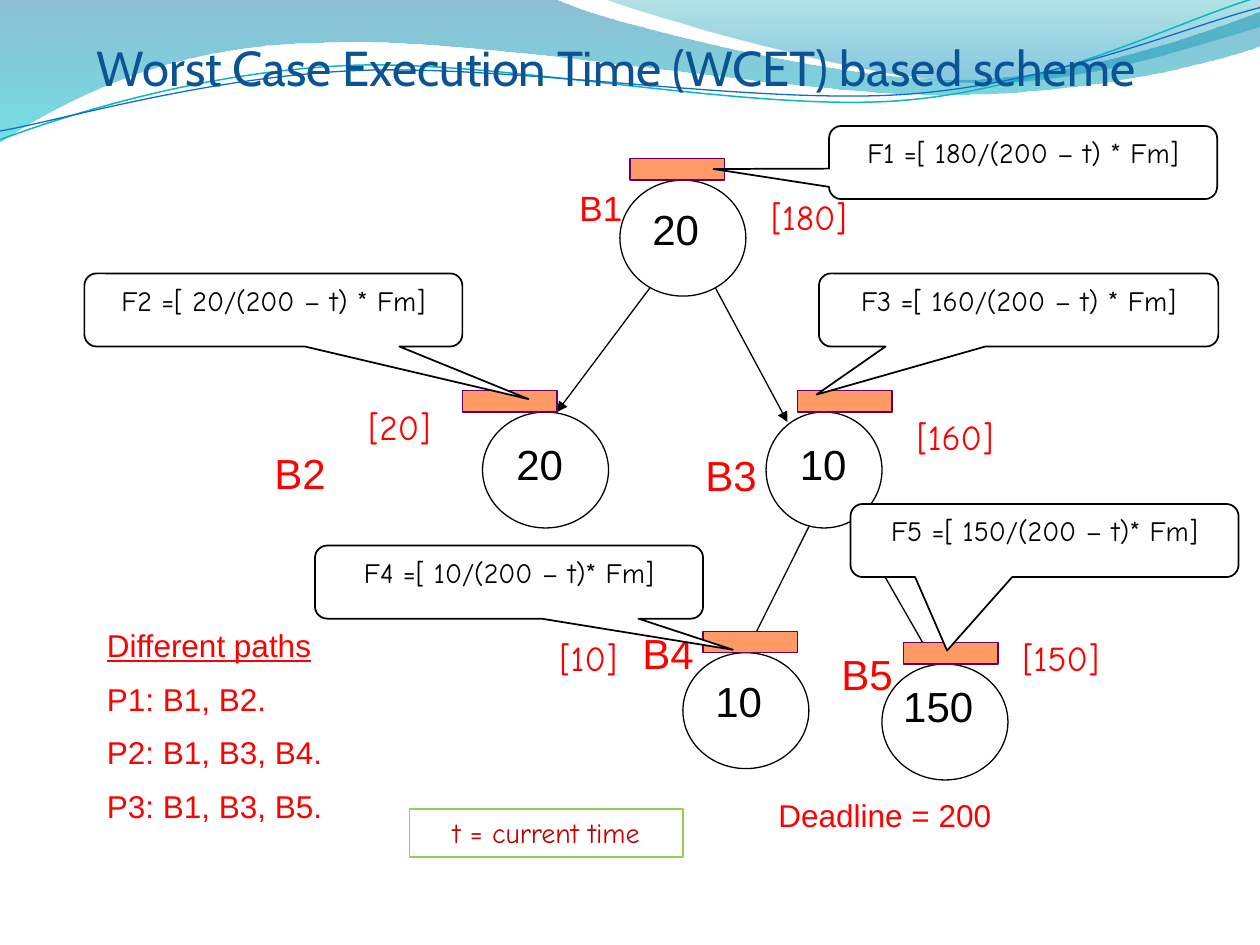
import math
from lxml import etree
from pptx import Presentation
from pptx import util as u
from pptx.dml import color
from pptx.enum import shapes, text
from pptx.oxml import ns

Inches = u.Inches
COLORS = {
    "title": "0B5394", "red": "FF0000", "black": "000000", "white": "FFFFFF",
    "bar": "FF9966", "bar_line": "660066", "note": "C00000", "note_line": "92D050",
    "teal_line": "0AB8BF", "blue_line": "0F6FC6",
}
WAVES = [
    {"box": (-0.01, -0.01, 10.02, 1.14), "stops": [(0, "0074A1", 45), (1, "00C6CF", 55)],
     "parts": [(0, -0.01), (4.4, -0.01), (4.76, 0.17, 6.64, 0.63, 7.58, 0.63),
               (8.53, 0.63, 9.58, 0.26, 10, 0.09), (10.01, 0.36),
               (9.83, 0.44, 8.7, 0.76, 7.46, 0.75), (6.22, 0.75, 3.82, 0.28, 2.57, 0.34),
               (1.29, 0.35, 0.46, 0.83, -0.01, 1.13)]},
    {"box": (4.79, -0.01, 5.21, 0.7), "stops": [(0, "00A1A9", 30), (0.8, "008BBF", 45)],
     "parts": [(4.79, -0.01), (5.09, 0.11, 6.82, 0.62, 7.69, 0.65),
               (8.56, 0.69, 9.61, 0.32, 10, 0.21), (10, 0)]},
    {"box": (-0.02, 0.22, 10.02, 0.71), "line": ("teal_line", 0.85),
     "parts": [(0, 1.11), (0.48, 0.93, 1.58, 0.57, 2.77, 0.52),
               (3.95, 0.47, 5.93, 0.89, 7.13, 0.8), (8.33, 0.71, 9.38, 0.15, 9.98, -0.02)]},
    {"box": (-0.02, 0.3, 10.03, 0.58), "line": ("blue_line", 0.75),
     "parts": [(0, 1.04), (0.47, 0.96, 1.64, 0.61, 2.83, 0.56),
               (4.03, 0.51, 5.97, 0.83, 7.17, 0.75), (8.36, 0.67, 9.41, 0.21, 10, 0.06)]},
]
TILT = 2.7
EDGES = [
    ((5.17, 2.27), (4.42, 3.27)), ((5.67, 2.27), (6.25, 3.35)),
    ((6.42, 4.18), (5.92, 5.18)), ((6.75, 4.1), (7.42, 5.27)),
]
NODES = [
    {"box": (4.92, 1.43, 1, 0.92), "bar": 0.08, "value": ("20", 0.16, 0.14),
     "name": ("B1", -0.42, 0, 0.58, 20), "left": ("[180]", 1, 0.07)},
    {"box": (3.83, 3.27, 1, 0.92), "bar": -0.16, "value": ("20", 0.17, 0.16),
     "name": ("B2", -1.75, 0.23, 0.75, 24), "left": ("[20]", -1.16, -0.1)},
    {"box": (6.08, 3.27, 0.92, 0.92), "bar": 0.25, "value": ("10", 0.17, 0.16),
     "name": ("B3", -0.58, 0.25, 1.08, 24), "left": ("[160]", 1, -0.02)},
    {"box": (5.42, 5.18, 1, 0.92), "bar": 0.16, "value": ("10", 0.16, 0.13),
     "name": ("B4", -0.42, -0.25, 1.17, 24), "left": ("[10]", -1.25, -0.18)},
    {"box": (7, 5.27, 1, 0.92), "bar": 0.17, "value": ("150", 0.07, 0.08),
     "name": ("B5", -0.42, -0.17, 1, 24), "left": ("[150]", 0.92, -0.27)},
]
CALLOUTS = [
    ((6.58, 1, 3.08, 0.58), "F1 =[ 180/(200 – t) * Fm]", (-0.798, 0.089)),
    ((6.5, 2.17, 3.17, 0.58), "F3 =[ 160/(200 – t) * Fm]", (-0.506, 1.158)),
    ((0.67, 2.17, 3, 0.58), "F2 =[ 20/(200 – t) * Fm]", (0.675, 1.22)),
    ((6.75, 4, 3.08, 0.58), "F5 =[ 150/(200 – t)* Fm]", (-0.251, 1.506)),
    ((2.5, 4.33, 3.08, 0.58), "F4 =[ 10/(200 – t)* Fm]", (0.577, 0.926)),
]
PATHS = ["Different paths", "P1: B1, B2.", "P2: B1, B3, B4.", "P3: B1, B3, B5."]


def rgb(name):
    return color.RGBColor.from_string(COLORS[name])


def set_line(shape, name, width):
    shape.line.color.rgb = rgb(name)
    shape.line.width = u.Pt(width)


def write(shape, lines, size, ink, font="Arial", centered=False, gap=0):
    frame = shape.text_frame
    frame.word_wrap = True
    frame.vertical_anchor = text.MSO_ANCHOR.TOP
    for index, line in enumerate(lines):
        paragraph = frame.add_paragraph() if index else frame.paragraphs[0]
        paragraph.alignment = text.PP_ALIGN.CENTER if centered else text.PP_ALIGN.LEFT
        if index:
            paragraph.space_before = u.Pt(gap)
        run = paragraph.add_run()
        run.text = line
        for key, value in {"name": font, "size": u.Pt(size)}.items():
            setattr(run.font, key, value)
        run.font.color.rgb = rgb(ink)


def add_label(slide, box, lines, size, ink, **options):
    shape = slide.shapes.add_textbox(*map(Inches, box))
    write(shape, lines, size, ink, **options)
    return shape


def add_block(slide, kind, box, fill, line, width=0.75):
    shape = slide.shapes.add_shape(kind, *map(Inches, box))
    shape.shadow.inherit = False
    if fill:
        shape.fill.solid()
        shape.fill.fore_color.rgb = rgb(fill)
    else:
        shape.fill.background()
    set_line(shape, line, width)
    return shape


def turn(point, center, degrees):
    angle = math.radians(degrees)
    dx, dy = point[0] - center[0], point[1] - center[1]
    return (center[0] + dx * math.cos(angle) - dy * math.sin(angle),
            center[1] + dx * math.sin(angle) + dy * math.cos(angle))


def add_curve(slide, box, parts, tilt, closed):
    x, y, width, height = box
    center = (x + width / 2, y + height / 2)
    builder = slide.shapes.build_freeform(Inches(x), Inches(y))
    builder.add_line_segments([(Inches(x + width), Inches(y + height))], close=False)
    shape = builder.convert_to_shape()
    outline = next(shape._element.iter(ns.qn("a:path")))
    for child in list(outline):
        outline.remove(child)
    for index, part in enumerate(parts):
        tag = "a:moveTo" if index == 0 else "a:lnTo" if len(part) == 2 else "a:cubicBezTo"
        command = etree.SubElement(outline, ns.qn(tag))
        for point in zip(part[::2], part[1::2]):
            px, py = turn(point, center, tilt)
            etree.SubElement(command, ns.qn("a:pt"),
                             x=str(Inches(px - x)), y=str(Inches(py - y)))
    if closed:
        etree.SubElement(outline, ns.qn("a:close"))
    shape.rotation = (360 - tilt) % 360
    shape.shadow.inherit = False
    return shape


def draw_wave(slide, wave):
    filled = "stops" in wave
    shape = add_curve(slide, wave["box"], wave["parts"], 0 if filled else TILT, filled)
    if not filled:
        shape.fill.background()
        set_line(shape, *wave["line"])
        return
    shape.line.fill.background()
    shape.fill.gradient()
    shape.fill.gradient_angle = 270
    for stop, (position, tint, _) in zip(shape.fill.gradient_stops, wave["stops"]):
        stop.position = position
        stop.color.rgb = color.RGBColor.from_string(tint)
    tints = list(shape._element.spPr.iter(ns.qn("a:srgbClr")))
    for element, (_, _, opacity) in zip(tints, wave["stops"]):
        etree.SubElement(element, ns.qn("a:alpha"), val=str(opacity * 1000))


def draw_edge(slide, start, end):
    connector = slide.shapes.add_connector(
        shapes.MSO_CONNECTOR.STRAIGHT, *map(Inches, start + end))
    set_line(connector, "black", 0.75)
    etree.SubElement(connector.line._get_or_add_ln(), ns.qn("a:tailEnd"), type="triangle")
    etree.SubElement(connector._element.spPr, ns.qn("a:effectLst"))


def draw_node(slide, box, bar, value, name, left):
    x, y = box[:2]
    add_block(slide, shapes.MSO_SHAPE.OVAL, box, "white", "black")
    caption, dx, dy = value
    add_label(slide, (x + dx, y + dy, 1, 0.5), [caption], 24, "black")
    caption, dx, dy, width, size = name
    add_label(slide, (x + dx, y + dy, width, 0.5), [caption], size, "red")
    add_block(slide, shapes.MSO_SHAPE.RECTANGLE, (x + bar, y - 0.17, 0.75, 0.17),
              "bar", "bar_line")
    caption, dx, dy = left
    add_label(slide, (x + dx, y + dy, 1, 0.43), [caption], 20, "red",
              font="Comic Neue", centered=True)


def draw_callout(slide, box, formula, tip):
    shape = add_block(slide, shapes.MSO_SHAPE.ROUNDED_RECTANGULAR_CALLOUT, box,
                      "white", "black", 1)
    for index, value in enumerate((*tip, 0.167)):
        shape.adjustments[index] = value
    write(shape, [formula], 16, "black", font="Comic Neue", centered=True)


def draw_notes(slide):
    paths = add_label(slide, (0.75, 4.92, 2, 1.76), PATHS, 18, "red", gap=9)
    paths.text_frame.paragraphs[0].runs[0].font.underline = True
    add_label(slide, (6.08, 6.27, 2, 0.4), ["Deadline = 200"], 18, "red")
    note = add_block(slide, shapes.MSO_SHAPE.RECTANGLE, (3.25, 6.42, 2.17, 0.38),
                     None, "note_line", 1)
    write(note, ["t = current time"], 16, "note", font="Comic Neue", centered=True)


def main():
    presentation = Presentation()
    presentation.slide_width, presentation.slide_height = Inches(10), Inches(7.5)
    slide = presentation.slides.add_slide(presentation.slide_layouts[6])
    for wave in WAVES:
        draw_wave(slide, wave)
    add_label(slide, (0.67, 0.25, 9.17, 0.57),
              ["Worst Case Execution Time (WCET) based scheme"], 28, "title", font="Cabin")
    for edge in EDGES:
        draw_edge(slide, *edge)
    for node in NODES:
        draw_node(slide, **node)
    for callout in CALLOUTS:
        draw_callout(slide, *callout)
    draw_notes(slide)
    presentation.save("out.pptx")


if __name__ == "__main__":
    main()
